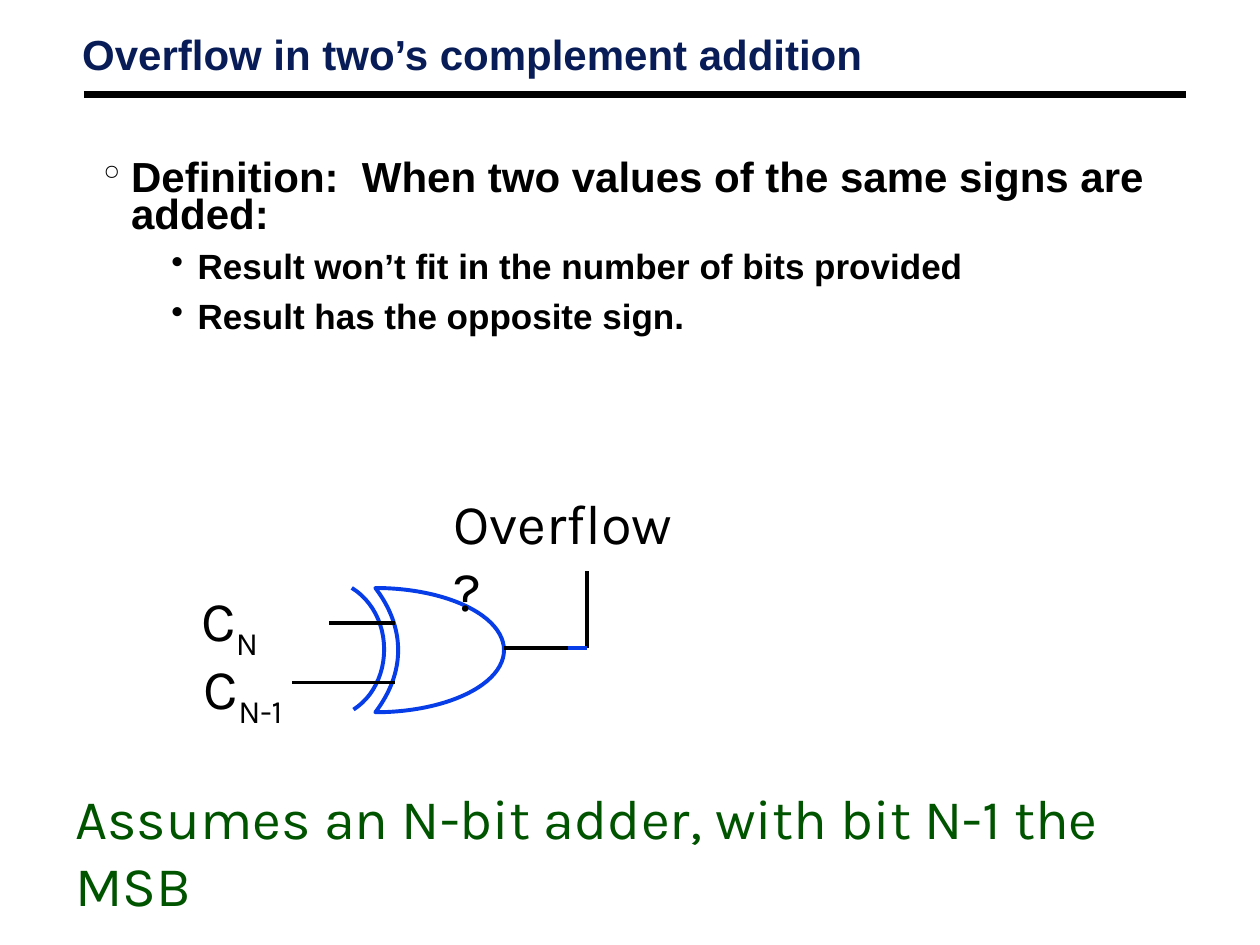
from lxml.etree import SubElement
from pptx import Presentation
from pptx.dml.color import RGBColor
from pptx.enum.shapes import MSO_CONNECTOR as Line, MSO_SHAPE as Shape
from pptx.oxml.ns import qn
from pptx.util import Pt

BLACK = RGBColor(0x00, 0x00, 0x00)
NAVY = RGBColor(0x08, 0x1D, 0x58)
BLUE = RGBColor(0x06, 0x3D, 0xE8)
GREEN = RGBColor(0x00, 0x54, 0x00)


def add_box(slide, x, y, w, h, pad=(7.2, 3.6)):
    """Add a wrapping text box and return its frame."""
    frame = slide.shapes.add_textbox(Pt(x), Pt(y), Pt(w), Pt(h)).text_frame
    frame.word_wrap = True
    frame.margin_left = frame.margin_right = Pt(pad[0])
    frame.margin_top = frame.margin_bottom = Pt(pad[1])
    return frame


def style(para, font, size, color, bold=False):
    """Set the font of a whole paragraph."""
    para.font.name = font
    para.font.size = Pt(size)
    para.font.bold = bold
    para.font.color.rgb = color


def add_line(slide, x1, y1, x2, y2, color=BLACK, width=2.25):
    """Draw a straight line without a shadow."""
    line = slide.shapes.add_connector(Line.STRAIGHT, Pt(x1), Pt(y1), Pt(x2), Pt(y2))
    line.line.color.rgb = color
    line.line.width = Pt(width)
    SubElement(line._element.spPr, qn("a:effectLst"))


def outline(shape):
    """Leave a gate part unfilled with a blue edge."""
    shape.shadow.inherit = False
    shape.fill.background()
    shape.line.color.rgb = BLUE
    shape.line.width = Pt(2.25)


def add_title(slide, x, y, w, h):
    """Place the heading and the rule below it."""
    para = add_box(slide, x, y, w, h, (5, 2.5)).paragraphs[0]
    para.text = "Overflow in two’s complement addition"
    para.line_spacing = 0.87
    style(para, "Arial", 24, NAVY, True)
    add_line(slide, x + 6, y + 36, x + 636, y + 36, width=4.5)


def add_item(para, text, level):
    """Fill one bulleted paragraph."""
    size, left, hang, gap, lead, mark = (
        (24, 16, 16, 2, 0.75, "°"),
        (20, 54, 15, 8, 0.85, "•"),
    )[level]
    para.text = text
    para.level = level
    para.line_spacing = lead
    para.space_before = Pt(gap)
    style(para, "Arial", size, BLACK, True)
    props = para._p.get_or_add_pPr()
    props.set("marL", str(Pt(left)))
    props.set("indent", str(-Pt(hang)))
    bullet = SubElement(props, qn("a:buChar"))
    bullet.set("char", mark)
    props.insert_element_before(bullet, "a:tabLst", "a:defRPr", "a:extLst")


def add_body(slide, x, y, w, h):
    """Place the definition and its two points."""
    frame = add_box(slide, x, y, w, h, (5, 2.5))
    items = (
        ("Definition:  When two values of the same signs are added:", 0),
        ("Result won’t fit in the number of bits provided", 1),
        ("Result has the opposite sign.", 1),
    )
    for i, (text, level) in enumerate(items):
        para = frame.add_paragraph() if i else frame.paragraphs[0]
        add_item(para, text, level)


def add_label(slide, x, y, w, h, text, sub="", color=BLACK):
    """Place a large label with an optional subscript."""
    para = add_box(slide, x, y, w, h).paragraphs[0]
    para.add_run().text = text
    style(para, "Karla", 32, color)
    if sub:
        run = para.add_run()
        run.text = sub
        run.font._element.set("baseline", "-25000")


def curve(points, steps=12):
    """Return points along a cubic curve."""
    result = []
    for i in range(steps + 1):
        t = i / steps
        parts = ((1 - t) ** 3, 3 * t * (1 - t) ** 2, 3 * t * t * (1 - t), t ** 3)
        result.append(tuple(sum(k * p[a] for k, p in zip(parts, points)) for a in (0, 1)))
    return result


def add_gate(slide, x, y, w, h):
    """Draw the XOR gate with its wires and labels."""
    moon = slide.shapes.add_shape(Shape.MOON, Pt(x + 106.5), Pt(y + 60.5), Pt(73.5), Pt(71))
    moon.rotation = 180
    moon.adjustments[0] = 0.823
    outline(moon)

    upper = curve([(93, 60.5), (104.5, 67.5), (111.5, 81), (111.5, 95.5)])
    lower = curve([(111.5, 95.5), (111.5, 110), (105, 123), (94, 130)])
    dots = [(Pt(x + a), Pt(y + b)) for a, b in upper + lower[1:]]
    path = slide.shapes.build_freeform(*dots[0])
    path.add_line_segments(dots[1:], close=False)
    outline(path.convert_to_shape())

    wires = (
        (117.5, 80.5, 80, 80.5, BLACK),
        (59, 114.5, 117.5, 114.5, BLACK),
        (216.5, 95, 180, 95, BLACK),
        (227.5, 51, 227.5, 95, BLACK),
        (227.5, 95, 216.5, 95, BLUE),
    )
    for x1, y1, x2, y2, color in wires:
        add_line(slide, x + x1, y + y1, x + x2, y + y2, color)

    add_label(slide, x + 144, y, w - 144, 45.5, "Overflow?")
    add_label(slide, x + 1.5, y + 94.5, 67, 45.5, "C", "N-1")
    add_label(slide, x, y + 55.5, 48, 46, "C", "N")


def main():
    """Build the slide and save it."""
    deck = Presentation()
    deck.slide_width, deck.slide_height = Pt(720), Pt(540)
    slide = deck.slides.add_slide(deck.slide_layouts[6])
    add_title(slide, 42, 18, 456.5, 29)
    add_body(slide, 54, 90, 618, 141)
    add_gate(slide, 108, 275.5, 299.5, 140)
    text = "Assumes an N-bit adder, with bit N-1 the MSB"
    add_label(slide, 36, 444, 665, 45.5, text, color=GREEN)
    deck.save("out.pptx")


if __name__ == "__main__":
    main()
